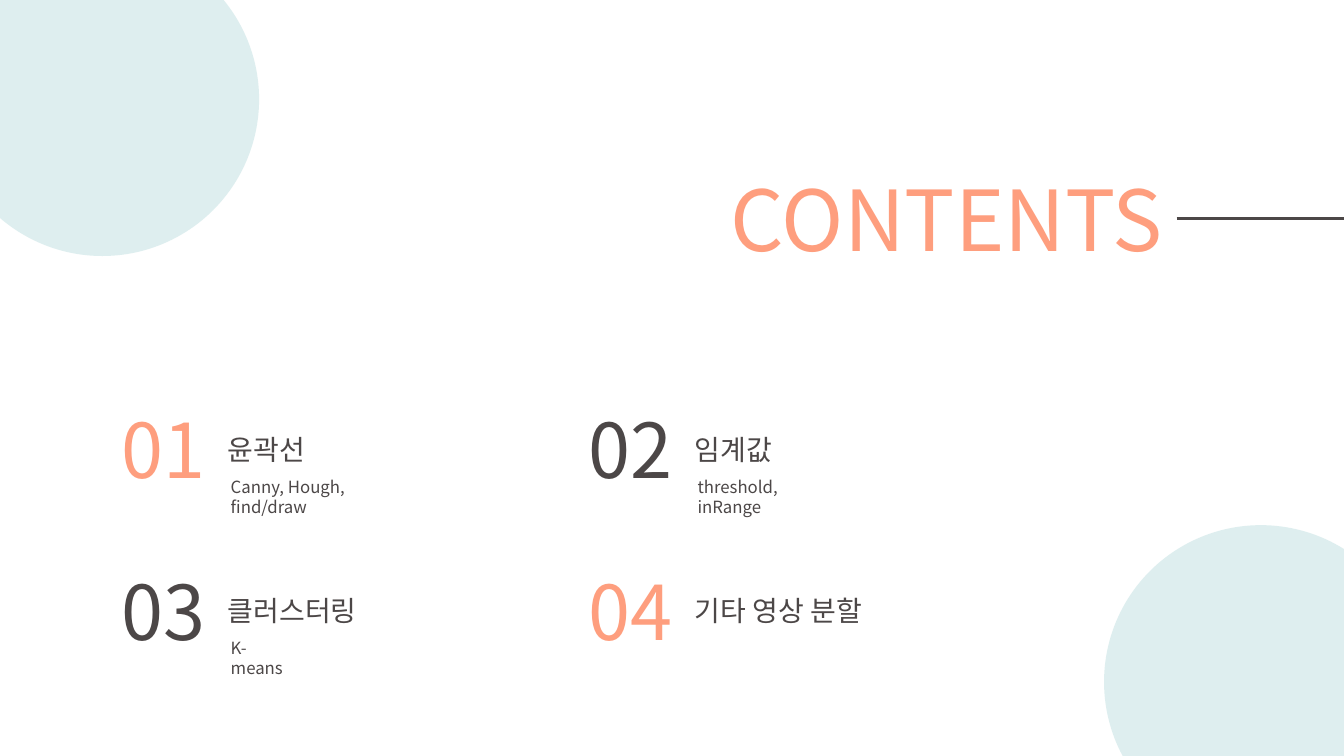
import pptx
import pptx.util
import pptx.dml.color
import pptx.enum.shapes
import pptx.enum.text
import pptx.oxml
import lxml.etree
from dataclasses import dataclass

Inches = pptx.util.Inches


@dataclass(frozen=True)
class Theme:
    font: str = "Noto Sans CJK KR"
    coral: str = "FE9E7E"
    dark: str = "4C4747"
    mint: str = "C8E4E5"
    title_size: int = 60
    number_size: int = 54
    heading_size: int = 20
    note_size: int = 12


class SlideBuilder:
    def __init__(self, slide, theme):
        self.shapes = slide.shapes
        self.theme = theme

    def add_element(self, parent, tag, **attributes):
        name = pptx.oxml.ns.qn(tag)
        return lxml.etree.SubElement(parent, name, attributes)

    def text(self, content, left, top, width, height, size, color, wrap=False):
        box = self.shapes.add_textbox(
            Inches(left), Inches(top), Inches(width), Inches(height))
        frame = box.text_frame
        frame.text = content
        frame.word_wrap = wrap
        frame.auto_size = pptx.enum.text.MSO_AUTO_SIZE.SHAPE_TO_FIT_TEXT
        span = frame.paragraphs[0].runs[0]
        span.font.size = pptx.util.Pt(size)
        span.font.name = self.theme.font
        span.font.color.rgb = pptx.dml.color.RGBColor.from_string(color)
        # Faint outline in the text colour, and the East Asian font
        properties = span.font._element
        outline = self.add_element(properties, "a:ln", w="9525")
        fill = self.add_element(outline, "a:solidFill")
        tint = self.add_element(fill, "a:srgbClr", val=color)
        self.add_element(tint, "a:alpha", val="20000")
        properties.insert(0, outline)
        self.add_element(properties, "a:ea", typeface=self.theme.font)

    def circle(self, left, top, diameter):
        shape = self.shapes.add_shape(
            pptx.enum.shapes.MSO_SHAPE.OVAL, Inches(left), Inches(top),
            Inches(diameter), Inches(diameter))
        shape.shadow.inherit = False
        shape.line.fill.background()
        shape.fill.solid()
        shape.fill.fore_color.rgb = pptx.dml.color.RGBColor.from_string(
            self.theme.mint)
        tint = shape._element.spPr.find(".//" + pptx.oxml.ns.qn("a:srgbClr"))
        self.add_element(tint, "a:alpha", val="60000")

    def rule(self, left, right, y):
        line = self.shapes.add_connector(
            pptx.enum.shapes.MSO_CONNECTOR.STRAIGHT,
            Inches(left), Inches(y), Inches(right), Inches(y))
        line.line.width = pptx.util.Pt(2.25)
        line.line.color.rgb = pptx.dml.color.RGBColor.from_string(
            self.theme.dark)
        self.add_element(line._element.spPr, "a:effectLst")

    def entry(self, number, heading, heading_width, note, note_width,
              left, top, color):
        theme = self.theme
        self.text(number, left, top, 1.05, 1.01, theme.number_size, color)
        self.text(heading, left + 1.05, top + 0.29, heading_width, 0.44,
                  theme.heading_size, theme.dark)
        if note:
            self.text(note, left + 1.08, top + 0.73, note_width, 0.3,
                      theme.note_size, theme.dark, wrap=True)


def main():
    deck = pptx.Presentation()
    deck.slide_width = Inches(13.33)
    deck.slide_height = Inches(7.5)
    theme = Theme()
    page = SlideBuilder(deck.slides.add_slide(deck.slide_layouts[6]), theme)

    # Title with its rule
    page.text("CONTENTS", 7.15, 1.61, 4.52, 1.11,
              theme.title_size, theme.coral)
    page.rule(11.67, 13.33, 2.17)

    # Corner circles
    for left, top in ((-0.54, -0.57), (10.95, 5.21)):
        page.circle(left, top, 3.11)

    # Two by two list of topics, coral on the diagonal
    topics = (
        ("윤곽선", 1.04, "Canny, Hough, find/draw", 2.12),
        ("임계값", 1.04, "threshold, inRange", 1.64),
        ("클러스터링", 1.6, "K-means", 0.87),
        ("기타 영상 분할", 2.08, "", 0),
    )
    for index, topic in enumerate(topics):
        row, column = divmod(index, 2)
        color = theme.coral if row == column else theme.dark
        page.entry(f"{index + 1:02}", *topic,
                   1.11 + column * 4.63, 3.95 + row * 1.6, color)

    deck.save("out.pptx")


if __name__ == "__main__":
    main()
